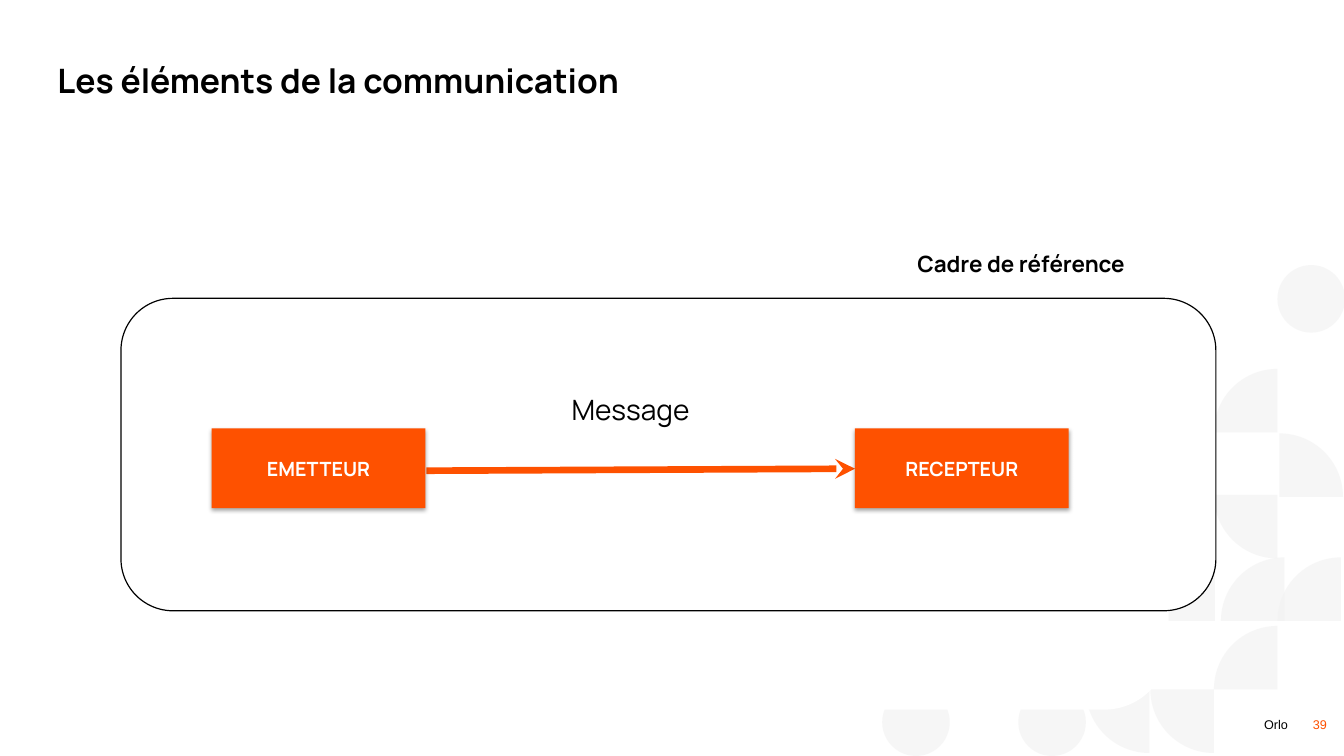
import lxml.etree
import pptx
import pptx.dml.color
import pptx.enum.shapes
import pptx.enum.text
import pptx.oxml.ns
import pptx.util

Inches, Pt = pptx.util.Inches, pptx.util.Pt
SHAPE = pptx.enum.shapes.MSO_SHAPE
ALIGN = pptx.enum.text.PP_ALIGN
ANCHOR = pptx.enum.text.MSO_ANCHOR
qn = pptx.oxml.ns.qn
ORANGE, BLACK, WHITE, GREY = "FE5100", "000000", "FFFFFF", "F2F2F2"


def color(value):
    return pptx.dml.color.RGBColor.from_string(value)


def write(box, text, size, ink=BLACK, bold=False, font="Manrope", align=ALIGN.LEFT,
          anchor=ANCHOR.TOP, inset=None, wrap=True):
    """Fill a shape with one formatted paragraph; inset None keeps the default margins."""
    frame = box.text_frame
    frame.word_wrap = wrap
    frame.vertical_anchor = anchor
    if inset is not None:
        for side in ("left", "top", "right", "bottom"):
            setattr(frame, f"margin_{side}", Inches(inset))
    para = frame.paragraphs[0]
    para.alignment = align
    span = para.add_run()
    span.text = text
    for name, value in {"name": font, "size": Pt(size), "bold": bold}.items():
        setattr(span.font, name, value)
    span.font.color.rgb = color(ink)


deck = pptx.Presentation()
deck.slide_width, deck.slide_height = Inches(13.33), Inches(7.5)
page = deck.slides.add_slide(deck.slide_layouts[5])
page.background.fill.solid()
page.background.fill.fore_color.rgb = color(WHITE)
shapes = page.shapes

# Pale background pattern: quarter discs, then full discs
pattern = [(SHAPE.PIE, 1.26, left, top, turn) for left, top, turn in (
    (11.41, 6.21, 270), (10.77, 6.21, 270), (12.04, 6.21, 0), (12.04, 4.28, 270),
    (12.04, 3.66, 0), (11.42, 5.53, 0), (12.06, 4.3, 90), (12.67, 5.53, 0), (12.11, 5.53, 0))]
pattern += [(SHAPE.OVAL, 0.67, left, top, 0) for left, top in (
    (10.1, 6.83), (8.75, 6.83), (12.67, 2.63))]
for kind, size, left, top, turn in pattern:
    disc = shapes.add_shape(kind, Inches(left), Inches(top), Inches(size), Inches(size))
    disc.shadow.inherit = False
    disc.rotation = turn
    if kind == SHAPE.PIE:
        disc.adjustments[0], disc.adjustments[1] = 108, 162
    disc.fill.solid()
    disc.fill.fore_color.rgb = color(GREY)
    tint = disc.fill._xPr.find(".//" + qn("a:srgbClr"))
    lxml.etree.SubElement(tint, qn("a:alpha"), val="65000")
    disc.line.fill.background()

# Title
title = shapes.title
for name, value in {"left": 0.57, "top": 0.2, "width": 12.12, "height": 0.8}.items():
    setattr(title, name, Inches(value))
write(title, "Les éléments de la communication", 24, bold=True, anchor=ANCHOR.BOTTOM, inset=0)
title.text_frame.paragraphs[0].line_spacing = 0.93

# White backing and outlined reference frame
for left, top, width, height, outlined in (
        (1.04, 3.22, 10.55, 3.82, False), (1.2, 2.96, 10.86, 3.1, True)):
    panel = shapes.add_shape(SHAPE.ROUNDED_RECTANGLE, Inches(left), Inches(top),
                             Inches(width), Inches(height))
    panel.shadow.inherit = False
    panel.fill.solid()
    panel.fill.fore_color.rgb = color(WHITE)
    if outlined:
        panel.line.color.rgb = color(BLACK)
        panel.line.width = Pt(0.85)
    else:
        panel.line.fill.background()

# Arrow from sender to receiver
arrow = shapes.add_connector(pptx.enum.shapes.MSO_CONNECTOR.STRAIGHT,
                             Inches(4.23), Inches(4.67), Inches(8.48), Inches(4.65))
arrow.line.color.rgb = color(ORANGE)
arrow.line.width = Pt(4.75)
lxml.etree.SubElement(arrow.line._get_or_add_ln(), qn("a:tailEnd"), type="stealth")
lxml.etree.SubElement(arrow._element.spPr, qn("a:effectLst"))

# Sender and receiver
for left, label in ((2.1, "EMETTEUR"), (8.48, "RECEPTEUR")):
    actor = shapes.add_shape(SHAPE.RECTANGLE, Inches(left), Inches(4.25),
                             Inches(2.12), Inches(0.79))
    actor.fill.solid()
    actor.fill.fore_color.rgb = color(ORANGE)
    actor.line.fill.background()
    actor.shadow.inherit = False
    effects = actor._element.spPr.find(qn("a:effectLst"))
    shadow = lxml.etree.SubElement(effects, qn("a:outerShdw"), blurRad=str(Pt(3.1)),
                                   dist=str(Pt(1.8)), dir="5400000", rotWithShape="0")
    shade = lxml.etree.SubElement(shadow, qn("a:srgbClr"), val=BLACK)
    lxml.etree.SubElement(shade, qn("a:alpha"), val="35000")
    write(actor, label, 14, WHITE, True, align=ALIGN.CENTER, anchor=ANCHOR.MIDDLE, inset=0.08)

# Labels and footer
footer = {"size": 9, "font": "Arial", "anchor": ANCHOR.BOTTOM, "inset": 0}
for left, top, width, height, style in (
        (5.57, 3.84, 2.28, 0.44, {"text": "Message", "size": 20}),
        (9, 2.43, 3.94, 0.37, {"text": "Cadre de référence", "size": 16, "bold": True}),
        (12.51, 7.11, 0.29, 0.15, {**footer, "text": "Orlo", "align": ALIGN.CENTER, "wrap": False}),
        (12.8, 7.11, 0.36, 0.15, {**footer, "text": "39", "ink": ORANGE, "align": ALIGN.RIGHT})):
    box = shapes.add_textbox(Inches(left), Inches(top), Inches(width), Inches(height))
    write(box, **style)

deck.save("out.pptx")
